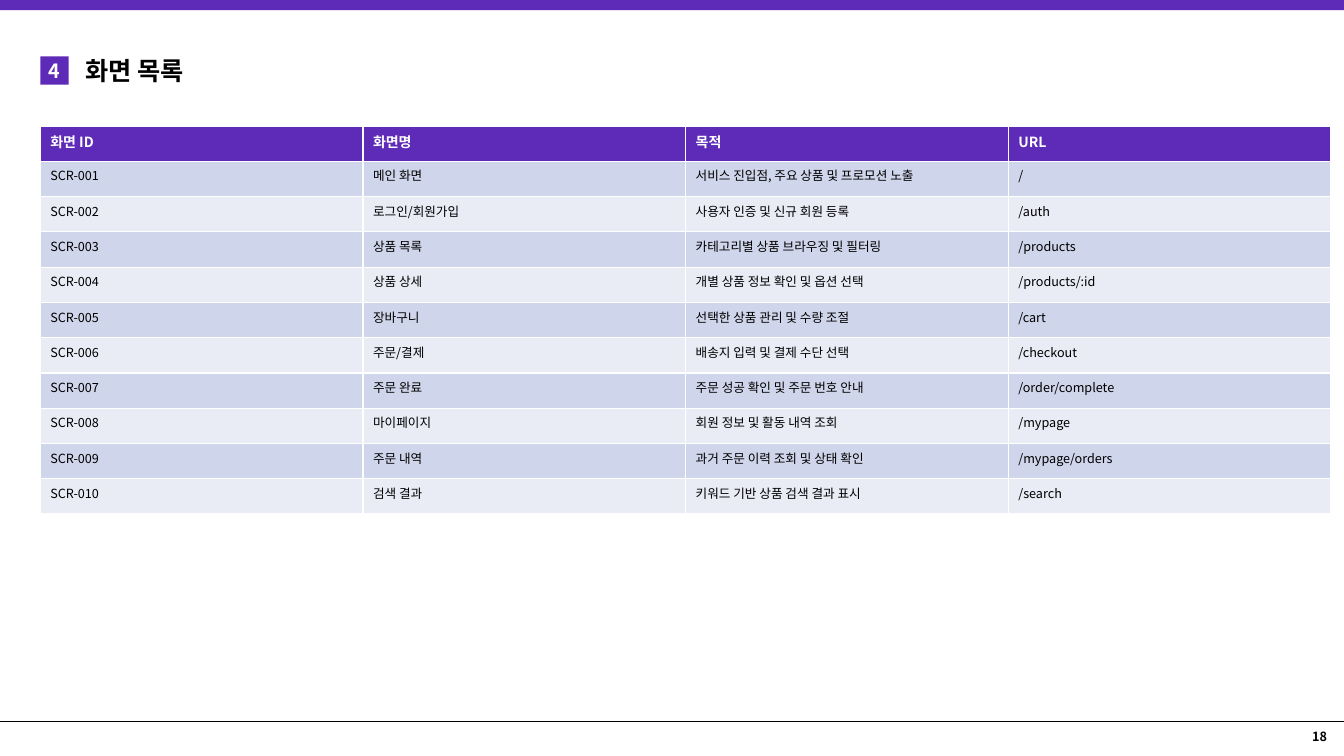
from lxml.etree import SubElement
from pptx import Presentation
from pptx.dml.color import RGBColor
from pptx.enum.shapes import MSO_CONNECTOR, MSO_SHAPE
from pptx.enum.text import MSO_ANCHOR, MSO_AUTO_SIZE, PP_ALIGN
from pptx.oxml.ns import qn
from pptx.util import Inches, Pt

FONT = "Noto Sans CJK KR"
PURPLE = RGBColor(0x5E, 0x2B, 0xB8)
BLACK = RGBColor(0x00, 0x00, 0x00)
WHITE = RGBColor(0xFF, 0xFF, 0xFF)
BAND_DARK = RGBColor(0xCF, 0xD5, 0xEA)
BAND_LIGHT = RGBColor(0xE9, 0xEB, 0xF5)

SLIDE_WIDTH, SLIDE_HEIGHT = 13.33, 7.5
MARGIN = 0.4
FOOTER_TOP = 7.16
COLUMN_WIDTH, ROW_HEIGHT = 3.2, 0.35

HEADERS = ("화면 ID", "화면명", "목적", "URL")
SCREENS = (
    ("메인 화면", "서비스 진입점, 주요 상품 및 프로모션 노출", "/"),
    ("로그인/회원가입", "사용자 인증 및 신규 회원 등록", "/auth"),
    ("상품 목록", "카테고리별 상품 브라우징 및 필터링", "/products"),
    ("상품 상세", "개별 상품 정보 확인 및 옵션 선택", "/products/:id"),
    ("장바구니", "선택한 상품 관리 및 수량 조절", "/cart"),
    ("주문/결제", "배송지 입력 및 결제 수단 선택", "/checkout"),
    ("주문 완료", "주문 성공 확인 및 주문 번호 안내", "/order/complete"),
    ("마이페이지", "회원 정보 및 활동 내역 조회", "/mypage"),
    ("주문 내역", "과거 주문 이력 조회 및 상태 확인", "/mypage/orders"),
    ("검색 결과", "키워드 기반 상품 검색 결과 표시", "/search"),
)


def write_text(frame, text, size, color, bold=True, align=PP_ALIGN.LEFT):
    frame.text = text
    para = frame.paragraphs[0]
    para.alignment = align
    for span in para.runs:
        span.font.size = Pt(size)
        span.font.bold = bold
        span.font.color.rgb = color
        span.font.name = FONT
        # East Asian typeface for the Korean text
        properties = span._r.get_or_add_rPr()
        SubElement(properties, qn("a:ea")).set("typeface", FONT)


def add_purple_box(slide, left, top, width, height):
    box = slide.shapes.add_shape(MSO_SHAPE.RECTANGLE, Inches(left), Inches(top),
                                 Inches(width), Inches(height))
    box.shadow.inherit = False
    box.fill.solid()
    box.fill.fore_color.rgb = PURPLE
    box.line.fill.background()
    return box


def add_footer(slide, number):
    top = Inches(FOOTER_TOP)
    box = slide.shapes.add_textbox(Inches(11.54), top, Inches(1.72), Inches(0.29))
    box.text_frame.word_wrap = True
    box.text_frame.vertical_anchor = MSO_ANCHOR.MIDDLE
    write_text(box.text_frame, number, 9, BLACK, align=PP_ALIGN.RIGHT)

    rule = slide.shapes.add_connector(MSO_CONNECTOR.STRAIGHT, 0, top,
                                      Inches(SLIDE_WIDTH), top)
    rule.line.color.rgb = BLACK
    rule.line.width = Pt(0.5)
    SubElement(rule._element.spPr, qn("a:effectLst"))


def add_heading(slide, number, text):
    badge = add_purple_box(slide, MARGIN, 0.56, 0.28, 0.28)
    badge.text_frame.word_wrap = False
    badge.text_frame.vertical_anchor = MSO_ANCHOR.MIDDLE
    write_text(badge.text_frame, number, 14, WHITE, align=PP_ALIGN.CENTER)

    title = slide.shapes.title
    title.left, title.top = Inches(0.75), Inches(0.5)
    title.width, title.height = Inches(4), Inches(0.4)
    title.text_frame.auto_size = MSO_AUTO_SIZE.NONE
    title.text_frame.vertical_anchor = MSO_ANCHOR.TOP
    write_text(title.text_frame, text, 18, BLACK)


def fill_row(row, values, fill, size, color, bold):
    row.height = Inches(ROW_HEIGHT)
    for cell, value in zip(row.cells, values):
        cell.fill.solid()
        cell.fill.fore_color.rgb = fill
        write_text(cell.text_frame, value, size, color, bold)


def add_screen_table(slide):
    row_count, column_count = len(SCREENS) + 1, len(HEADERS)
    table = slide.shapes.add_table(
        row_count, column_count, Inches(MARGIN), Inches(1.25),
        Inches(COLUMN_WIDTH * column_count), Inches(ROW_HEIGHT * row_count)).table
    for column in table.columns:
        column.width = Inches(COLUMN_WIDTH)

    fill_row(table.rows[0], HEADERS, PURPLE, 10, WHITE, True)
    for index, screen in enumerate(SCREENS, start=1):
        band = BAND_DARK if index % 2 else BAND_LIGHT
        values = (f"SCR-{index:03d}", *screen)
        fill_row(table.rows[index], values, band, 9, BLACK, False)


def main():
    deck = Presentation()
    deck.slide_width, deck.slide_height = Inches(SLIDE_WIDTH), Inches(SLIDE_HEIGHT)
    page = deck.slides.add_slide(deck.slide_layouts[5])

    # Top band and footer
    add_purple_box(page, 0, 0, SLIDE_WIDTH, 0.1)
    add_footer(page, "18")

    # Section heading and screen list
    add_heading(page, "4", "화면 목록")
    add_screen_table(page)

    deck.save("out.pptx")


if __name__ == "__main__":
    main()
